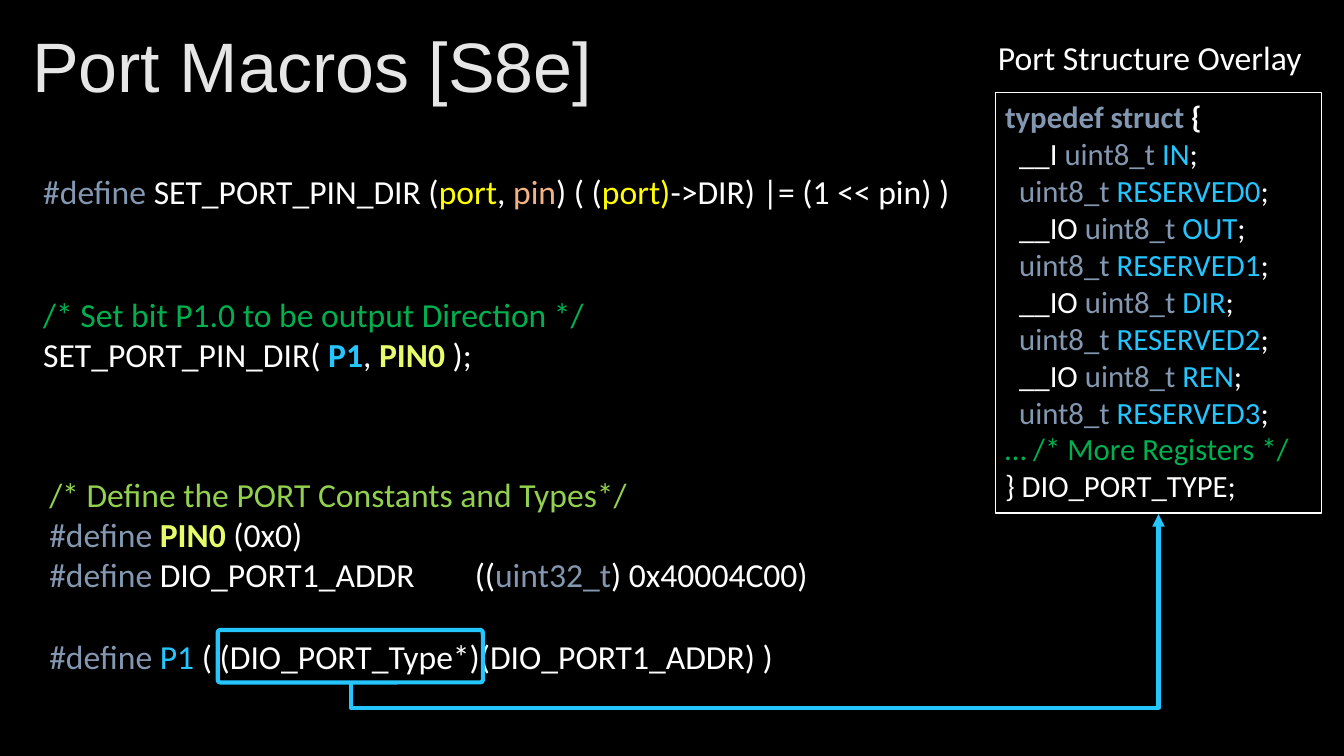
from dataclasses import dataclass

from lxml.etree import SubElement
from pptx import Presentation
from pptx.dml.color import RGBColor
from pptx.enum.shapes import MSO_CONNECTOR as Connector, MSO_SHAPE as Shape
from pptx.enum.text import MSO_ANCHOR as Anchor
from pptx.oxml.ns import qn
from pptx.util import Inches, Pt


@dataclass(frozen=True)
class Theme:
    background: str = "000000"
    title: str = "E7E6E6"
    plain: str = "FFFFFF"
    keyword: str = "8497B0"
    port: str = "FFFF00"
    pin: str = "F4B183"
    comment: str = "00B050"
    heading: str = "92D050"
    accent: str = "25C6FF"
    constant: str = "E7FC6A"
    title_font: str = "Arial"
    code_font: str = "Calibri"
    title_size: int = 50
    code_size: int = 24
    struct_size: int = 22
    thin: float = 0.75
    thick: float = 3
    line_height: float = 1.22  # Calibri line height per point of type


THEME = Theme()
LINE_GAP = THEME.code_size * THEME.line_height


@dataclass(frozen=True)
class Line:
    """One line of code: runs of (text, colour) or (text, colour, bold)."""
    runs: tuple
    before: float = 0
    indent: float = 0
    tab: float = 0


def line(*runs, **layout):
    return Line(runs, **layout)


def rgb(colour):
    return RGBColor.from_string(colour)


def write(frame, lines, *, size=THEME.code_size, font=THEME.code_font,
          anchor=Anchor.TOP, wrap=True, spacing=None):
    frame.word_wrap = wrap
    frame.vertical_anchor = anchor
    for number, content in enumerate(lines):
        paragraph = frame.paragraphs[0] if number == 0 else frame.add_paragraph()
        paragraph.space_before = Pt(content.before)
        paragraph.line_spacing = spacing
        properties = paragraph._p.get_or_add_pPr()
        properties.set("algn", "l")
        if content.indent:
            properties.set("marL", str(Inches(content.indent)))
        if content.tab:
            stops = SubElement(properties, qn("a:tabLst"))
            SubElement(stops, qn("a:tab"), pos=str(Inches(content.tab)), algn="l")
        for text, colour, *bold in content.runs:
            run = paragraph.add_run()
            run.text = text
            run.font.name = font
            run.font.size = Pt(size)
            run.font.bold = bool(bold and bold[0])
            run.font.color.rgb = rgb(colour)


def add_text(slide, box, lines, **style):
    label = slide.shapes.add_textbox(*map(Inches, box))
    write(label.text_frame, lines, **style)


def add_frame(slide, kind, box, colour, width):
    """Outline without a fill."""
    frame = slide.shapes.add_shape(kind, *map(Inches, box))
    frame.shadow.inherit = False
    frame.fill.background()
    frame.line.color.rgb = rgb(colour)
    frame.line.width = Pt(width)
    return frame


def add_elbow_arrow(slide, start, end, drop):
    """Arrow that drops below start, runs right, then rises to end."""
    (x1, y1), (x2, y2) = start, end
    rise, run = y1 - y2, x2 - x1
    left, top = (x1 + x2 - rise) / 2, (y1 + y2 - run) / 2
    arrow = slide.shapes.add_connector(
        Connector.ELBOW, *map(Inches, (left, top, left + rise, top + run)))
    arrow.line.color.rgb = rgb(THEME.accent)
    arrow.line.width = Pt(THEME.thick)
    properties = arrow._element.spPr
    properties.find(qn("a:xfrm")).set("rot", str(270 * 60000))
    guides = properties.find(qn("a:prstGeom")).get_or_add_avLst()
    SubElement(guides, qn("a:gd"), name="adj1",
               fmla=f"val {round(-drop / rise * 100000)}")
    SubElement(arrow.line._get_or_add_ln(), qn("a:tailEnd"), type="triangle")
    SubElement(properties, qn("a:effectLst"))


def register(name, access=""):
    """Member of the port structure."""
    return line((access, THEME.plain), ("uint8_t ", THEME.keyword),
                (name, THEME.accent), (";", THEME.plain), indent=0.14)


def struct_lines():
    members = []
    for index, (name, access) in enumerate(
            [("IN", "__I "), ("OUT", "__IO "), ("DIR", "__IO "), ("REN", "__IO ")]):
        members += [register(name, access), register(f"RESERVED{index}")]
    return [
        line(("typedef struct ", THEME.keyword, True), ("{", THEME.plain, True)),
        *members,
        line(("… /* More Registers */", THEME.comment)),
        line(("} DIO_PORT_TYPE;", THEME.plain)),
    ]


def macro_lines():
    t = THEME
    return [
        line(("#define", t.keyword), (" SET_PORT_PIN_DIR (", t.plain),
             ("port", t.port), (", ", t.plain), ("pin", t.pin), (") ( (", t.plain),
             ("port)", t.port), ("->DIR) |= (1 << pin) )", t.plain)),
        line(("/* Set bit P1.0 to be output Direction */", t.comment),
             before=2 * LINE_GAP),
        line(("SET_PORT_PIN_DIR( ", t.plain), ("P1", t.accent, True),
             (", ", t.plain), ("PIN0", t.constant, True), (" );", t.plain)),
    ]


def constant_lines():
    t = THEME
    define = ("#define ", t.keyword)
    return [
        line(("/* Define the PORT Constants and Types*/", t.heading)),
        line(define, ("PIN0", t.constant, True), (" (0x0)", t.plain)),
        line(define, ("DIO_PORT1_ADDR\t((", t.plain), ("uint32_t", t.keyword),
             (") 0x40004C00)", t.plain), tab=4.22),
        line(define, ("P1", t.accent),
             (" ( (DIO_PORT_Type*)(DIO_PORT1_ADDR) )", t.plain), before=LINE_GAP),
    ]


def main():
    deck = Presentation()
    deck.slide_width, deck.slide_height = Inches(13.33), Inches(7.5)
    slide = deck.slides.add_slide(deck.slide_layouts[6])
    slide.background.fill.solid()
    slide.background.fill.fore_color.rgb = rgb(THEME.background)

    add_text(slide, (0.22, 0.21, 12.89, 0.97),
             [line(("Port Macros [S8e]", THEME.title))], size=THEME.title_size,
             font=THEME.title_font, anchor=Anchor.MIDDLE, spacing=0.9)
    add_text(slide, (0.33, 1.65, 9.3, 2.12), macro_lines())

    struct = add_frame(slide, Shape.RECTANGLE, (9.87, 0.92, 3.24, 4.17),
                       THEME.plain, THEME.thin)
    write(struct.text_frame, struct_lines(), size=THEME.struct_size)

    add_text(slide, (0.39, 4.65, 8.81, 2.12), constant_lines())
    add_text(slide, (9.8, 0.32, 3.24, 0.5),
             [line(("Port Structure Overlay", THEME.plain))], wrap=False)

    cast = add_frame(slide, Shape.ROUNDED_RECTANGLE, (2.16, 6.25, 2.63, 0.52),
                     THEME.accent, THEME.thick)
    cast.adjustments[0] = 0.05
    add_elbow_arrow(slide, (3.48, 6.77), (11.49, 5.1), drop=0.25)

    deck.save("out.pptx")


if __name__ == "__main__":
    main()
